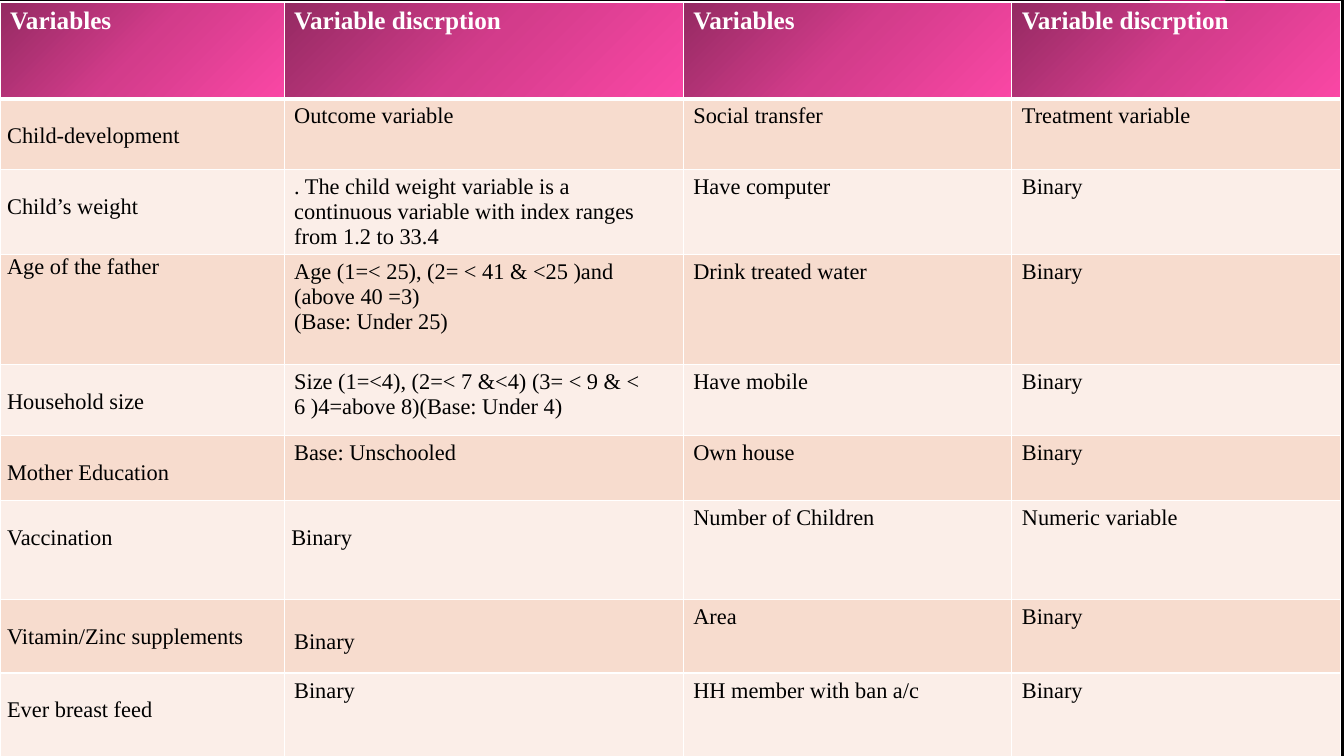
from lxml.etree import SubElement
from pptx import Presentation
from pptx.dml.color import RGBColor
from pptx.enum.shapes import MSO_SHAPE
from pptx.enum.text import PP_ALIGN
from pptx.oxml import parse_xml
from pptx.oxml.ns import nsdecls, qn
from pptx.util import Cm, Pt

COLORS = {
    "background": "000000", "tab": "B31166", "border": "FFFFFF",
    "header_text": "FFFFFF", "body_text": "000000",
    "odd_row": "F7DCCE", "even_row": "FBEEE8",
    "header_start": "942A62", "header_middle": "D33C8B", "header_end": "FA47A5",
}
FONT = "Times New Roman"
COLUMN_WIDTHS = [7.16, 10.06, 8.28, 8.28]
ROW_HEIGHTS = [2.44, 1.78, 2.14, 2.77, 1.79, 1.64, 2.49, 1.86, 2.1]
ROWS = [
    ["Variables", "Variable discrption", "Variables", "Variable discrption"],
    ["Child-development", "Outcome variable", "Social transfer", "Treatment variable"],
    ["Child’s weight",
     ". The child weight variable is a continuous variable with index ranges from 1.2 to 33.4",
     "Have computer", "Binary"],
    ["Age of the father",
     "Age (1=< 25), (2= < 41 & <25 )and (above 40 =3)\n(Base: Under 25)",
     "Drink treated water", "Binary"],
    ["Household size",
     "Size (1=<4), (2=< 7 &<4) (3= < 9 & < 6 )4=above 8)(Base: Under 4)",
     "Have mobile", "Binary"],
    ["Mother Education", "Base: Unschooled", "Own house", "Binary"],
    ["Vaccination", "Binary", "Number of Children", "Numeric variable"],
    ["Vitamin/Zinc supplements", "Binary", "Area", "Binary"],
    ["Ever breast feed", "Binary", "HH member with ban a/c", "Binary"],
]
BODY_ROWS = range(1, len(ROWS))
FATHER_ROW, VACCINATION_ROW, VITAMIN_ROW = 3, 6, 7
NARROW_CELLS = {(row, 0) for row in BODY_ROWS} | {(VACCINATION_ROW, 1)}
SPACED_CELLS = (NARROW_CELLS | {(VITAMIN_ROW, 1)}) - {(FATHER_ROW, 0)}


def rgb(name):
    """Return the named colour."""
    return RGBColor.from_string(COLORS[name])


def add_borders(cell, bottom_width):
    """Draw the four white edges of a cell."""
    properties = cell._tc.get_or_add_tcPr()
    widths = {"a:lnL": 1, "a:lnR": 1, "a:lnT": 1, "a:lnB": bottom_width}
    for tag, width in widths.items():
        line = SubElement(properties, qn(tag), w=str(Pt(width)))
        fill = SubElement(line, qn("a:solidFill"))
        SubElement(fill, qn("a:srgbClr"), val=COLORS["border"])


def fill_header(cell):
    """Give a header cell a gradient that spreads from its top left corner."""
    stops = [(0, "header_start"), (50, "header_middle"), (100, "header_end")]
    stop_xml = "".join(
        f'<a:gs pos="{position * 1000}"><a:srgbClr val="{COLORS[name]}"/></a:gs>'
        for position, name in stops)
    cell._tc.get_or_add_tcPr().append(parse_xml(
        f'<a:gradFill {nsdecls("a")} rotWithShape="1"><a:gsLst>{stop_xml}</a:gsLst>'
        '<a:path path="circle"><a:fillToRect r="100000" b="100000"/></a:path>'
        '</a:gradFill>'))


def format_text(cell, is_header, is_spaced):
    """Set the font and paragraph spacing of a cell."""
    for paragraph in cell.text_frame.paragraphs:
        if is_spaced:
            paragraph.alignment = PP_ALIGN.JUSTIFY
            paragraph.line_spacing = 2.0
        for run in paragraph.runs:
            run.font.name = FONT
            run.font.size = Pt(18 if is_header else 16)
            run.font.bold = is_header
            run.font.color.rgb = rgb("header_text" if is_header else "body_text")


def format_cell(cell, row, column):
    """Apply margins, edges, fill and font according to the cell's place."""
    is_header = row == 0
    if (row, column) in NARROW_CELLS:
        cell.margin_left = cell.margin_right = Cm(0.18)
        cell.margin_top = cell.margin_bottom = 0
    add_borders(cell, 3 if is_header else 1)
    if is_header:
        fill_header(cell)
    else:
        cell.fill.solid()
        cell.fill.fore_color.rgb = rgb("odd_row" if row % 2 else "even_row")
    format_text(cell, is_header, (row, column) in SPACED_CELLS)


def add_variable_table(slide, left, top):
    """Place the table of variables with its top left corner at the given point."""
    table = slide.shapes.add_table(
        len(ROWS), len(COLUMN_WIDTHS), left, top,
        Cm(sum(COLUMN_WIDTHS)), Cm(sum(ROW_HEIGHTS))).table
    for column, width in zip(table.columns, COLUMN_WIDTHS):
        column.width = Cm(width)
    for row, height in zip(table.rows, ROW_HEIGHTS):
        row.height = Cm(height)
    for row, texts in enumerate(ROWS):
        for column, text in enumerate(texts):
            cell = table.cell(row, column)
            cell.text_frame.text = text
            format_cell(cell, row, column)


def add_backdrop(slide, left, top, width, height):
    """Colour the background and place the tab at the top edge."""
    slide.background.fill.solid()
    slide.background.fill.fore_color.rgb = rgb("background")
    tab = slide.shapes.add_shape(MSO_SHAPE.RECTANGLE, left, top, width, height)
    tab.shadow.inherit = False
    tab.fill.solid()
    tab.fill.fore_color.rgb = rgb("tab")
    tab.line.fill.background()


def main():
    """Build and save the presentation."""
    presentation = Presentation()
    presentation.slide_width = Cm(33.87)
    presentation.slide_height = Cm(19.05)
    slide = presentation.slides.add_slide(presentation.slide_layouts[6])
    add_backdrop(slide, Cm(28.98), 0, Cm(1.9), Cm(3.18))
    add_variable_table(slide, 0, Cm(0.05))
    presentation.save("out.pptx")


if __name__ == "__main__":
    main()
